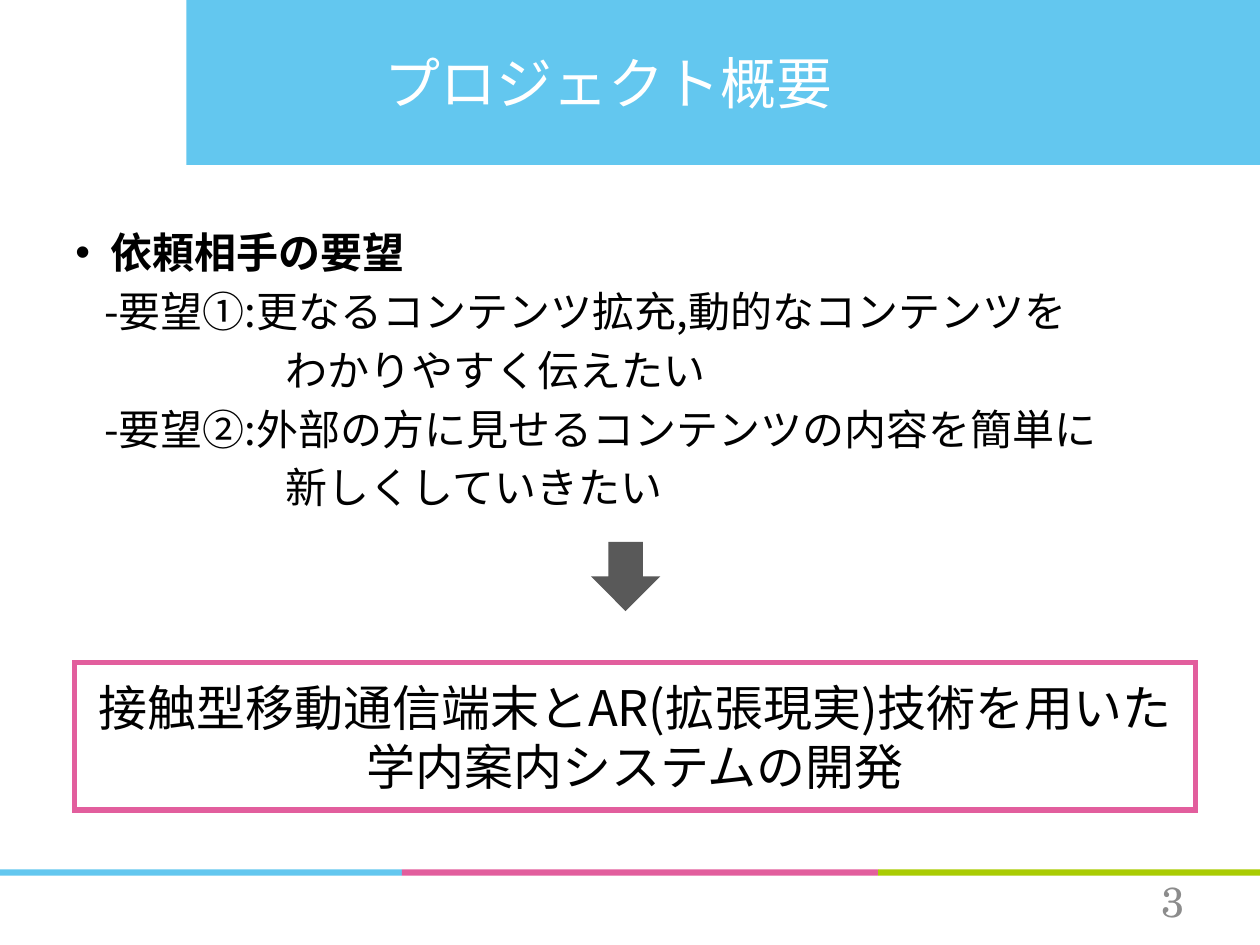
"""Build the project overview slide."""
from lxml import etree
from pptx import Presentation
from pptx.dml.color import RGBColor
from pptx.enum.shapes import MSO_SHAPE
from pptx.enum.text import MSO_ANCHOR, PP_ALIGN
from pptx.oxml.ns import qn
from pptx.util import Inches, Pt

RECTANGLE, DOWN_ARROW = MSO_SHAPE.RECTANGLE, MSO_SHAPE.DOWN_ARROW
MIDDLE, TOP = MSO_ANCHOR.MIDDLE, MSO_ANCHOR.TOP
LEFT, CENTER, RIGHT = PP_ALIGN.LEFT, PP_ALIGN.CENTER, PP_ALIGN.RIGHT
COLORS = {"blue": "63C7EF", "pink": "E25E9D", "green": "AACC03", "white": "FFFFFF",
          "black": "000000", "arrow": "595959", "number": "8C8C8C"}
JAPANESE = "Noto Sans CJK JP"

deck = Presentation()
deck.slide_width, deck.slide_height = Inches(10), Inches(7.5)
page = deck.slides.add_slide(deck.slide_layouts[6])


def add_block(kind, left, top, width, height, fill):
    box = page.shapes.add_shape(kind, Inches(left), Inches(top), Inches(width), Inches(height))
    box.shadow.inherit = False
    box.fill.solid()
    box.fill.fore_color.rgb = RGBColor.from_string(COLORS[fill])
    box.line.fill.background()
    return box


def write(box, lines, size, color, align, anchor=MIDDLE, name=JAPANESE):
    frame = box.text_frame
    frame.word_wrap = True
    frame.vertical_anchor = anchor
    frame.text = "\n".join(lines)
    for para in frame.paragraphs:
        para.alignment = align
        for span in para.runs:
            span.font.size = Pt(size)
            span.font.name = name
            span.font.color.rgb = RGBColor.from_string(COLORS[color])
            etree.SubElement(span.font._element, qn("a:ea")).set("typeface", name)
    return frame


add_block(RECTANGLE, 1.48, 0, 8.52, 1.31, "blue")
stripe_left = 0
for width, color in ((3.19, "blue"), (3.78, "pink"), (3.03, "green")):
    add_block(RECTANGLE, stripe_left, 6.9, width, 0.05, color)
    stripe_left += width

title = page.shapes.add_textbox(Inches(1.48), Inches(0.03), Inches(6.7), Inches(1.25))
write(title, ["プロジェクト概要"], 32, "white", CENTER)

requests = [
    ("依頼相手の要望", 0.28),
    ("-要望①:更なるコンテンツ拡充,動的なコンテンツを", 0.23),
    ("わかりやすく伝えたい", 1.67),
    ("-要望②:外部の方に見せるコンテンツの内容を簡単に", 0.23),
    ("新しくしていきたい", 1.67),
]
body = page.shapes.add_textbox(Inches(0.5), Inches(1.75), Inches(9), Inches(2.45))
body_frame = write(body, [line for line, indent in requests], 24, "black", LEFT, TOP)
for number, (para, (line, indent)) in enumerate(zip(body_frame.paragraphs, requests)):
    para.line_spacing = Pt(28.8)
    para.space_before = Pt(4.8 if number else 0)
    para._p.get_or_add_pPr().set("marL", str(Inches(indent)))
heading = body_frame.paragraphs[0]
heading.runs[0].font.bold = True
heading_format = heading._p.get_or_add_pPr()
heading_format.set("indent", str(Inches(-0.28)))
etree.SubElement(heading_format, qn("a:buFont")).set("typeface", "Arial")
etree.SubElement(heading_format, qn("a:buChar")).set("char", "•")

goal = add_block(RECTANGLE, 0.59, 5.26, 8.9, 1.17, "white")
goal.line.color.rgb = RGBColor.from_string(COLORS["pink"])
goal.line.width = Pt(3)
etree.SubElement(goal.line._get_or_add_ln(), qn("a:miter")).set("lim", "800000")
goal_frame = write(goal, ["接触型移動通信端末とAR(拡張現実)技術を用いた", "学内案内システムの開発"],
                   28, "black", CENTER)
goal_frame.margin_left = goal_frame.margin_right = 0
goal_frame.margin_top = goal_frame.margin_bottom = 0
for para in goal_frame.paragraphs:
    para.line_spacing = Pt(33.6)

add_block(DOWN_ARROW, 4.69, 4.3, 0.55, 0.55, "arrow")

page_number = page.shapes.add_textbox(Inches(7.17), Inches(6.95), Inches(2.33), Inches(0.4))
write(page_number, ["3"], 24, "number", RIGHT, name="TeX Gyre Schola")

deck.save("out.pptx")
